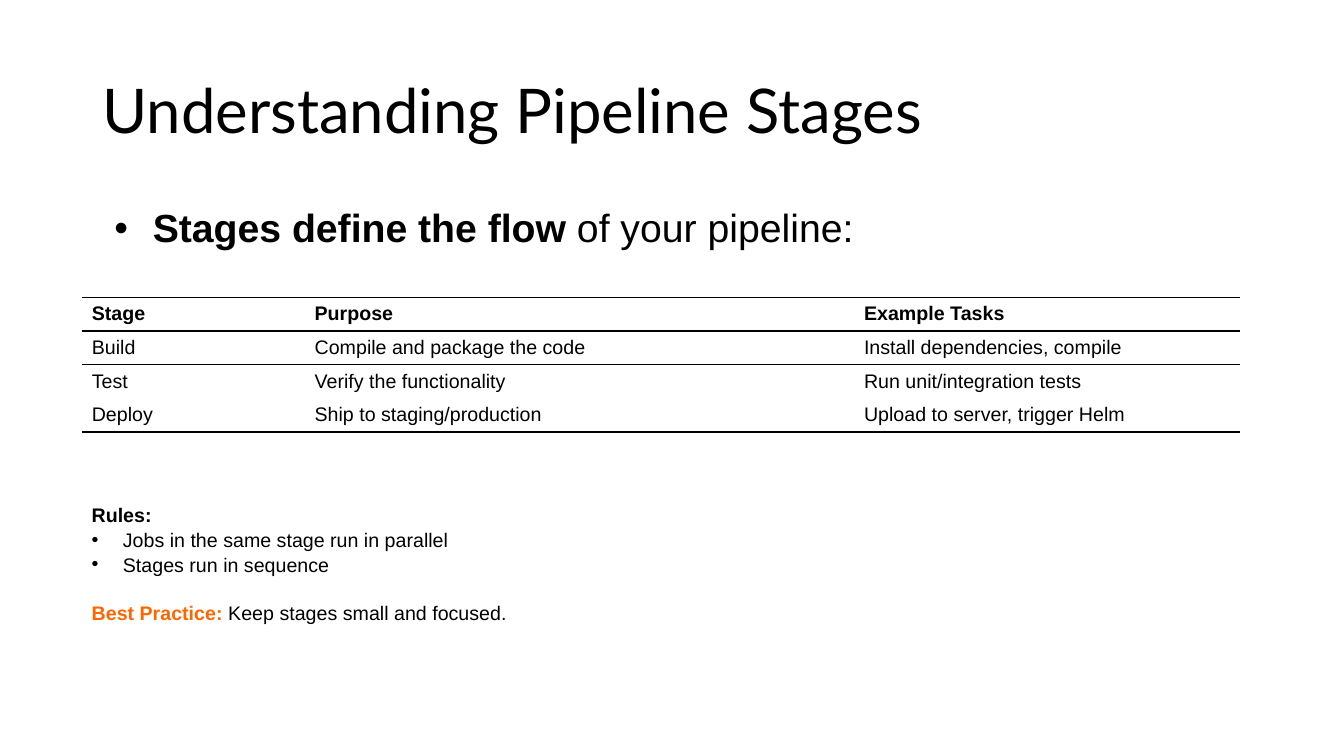
from dataclasses import dataclass

from lxml.etree import SubElement
from pptx import Presentation
from pptx.dml.color import RGBColor as Color
from pptx.enum.text import MSO_ANCHOR as Anchor
from pptx.oxml.ns import qn
from pptx.util import Inches, Pt


@dataclass(frozen=True)
class Theme:
    ink: str = "000000"
    accent: str = "FF6600"
    title_font: str = "Lato"
    body_font: str = "Arial"
    title_size: int = 44
    lead_size: int = 28
    text_size: int = 14
    rule_width: int = 1


THEME = Theme()
SLIDE_WIDTH, SLIDE_HEIGHT = Inches(13.33), Inches(7.5)

# Places and sizes are percentages of the slide's width or height.
HEADING_LEFT, CONTENT_LEFT, CONTENT_WIDTH = 6.88, 6.08, 86.25
COLUMN_WIDTHS = (16.58, 40.88, 28.73)
ROW_HEIGHT = 4.25

STAGES = (
    ("Stage", "Purpose", "Example Tasks"),
    ("Build", "Compile and package the code", "Install dependencies, compile"),
    ("Test", "Verify the functionality", "Run unit/integration tests"),
    ("Deploy", "Ship to staging/production", "Upload to server, trigger Helm"),
)
RULED_EDGES = (0, 1, 2, 4)
RULES = ("Jobs in the same stage run in parallel", "Stages run in sequence")


def across(percent):
    return round(SLIDE_WIDTH * percent / 100)


def down(percent):
    return round(SLIDE_HEIGHT * percent / 100)


def add_box(page, left, top, height, anchor=Anchor.TOP):
    box = page.shapes.add_textbox(across(left), down(top), across(CONTENT_WIDTH), down(height))
    frame = box.text_frame
    frame.word_wrap = True
    frame.vertical_anchor = anchor
    return frame


def add_run(para, text, size, bold=False, color=THEME.ink, font=THEME.body_font):
    span = para.add_run()
    span.text = text
    span.font.name = font
    span.font.size = Pt(size)
    span.font.bold = bold
    span.font.color.rgb = Color.from_string(color)


def add_bullet(para, margin, hanging):
    props = para._p.get_or_add_pPr()
    props.set("marL", str(Inches(margin)))
    props.set("indent", str(-Inches(hanging)))
    SubElement(props, qn("a:buFont"), typeface=THEME.body_font)
    SubElement(props, qn("a:buChar"), char="•")


def set_edge(cell, side, ruled):
    """Draw or clear one side (L, R, T or B) of a table cell."""
    width = str(Pt(THEME.rule_width))
    edge = SubElement(cell._tc.get_or_add_tcPr(), qn(f"a:ln{side}"), w=width)
    if ruled:
        fill = SubElement(edge, qn("a:solidFill"))
        SubElement(fill, qn("a:srgbClr"), val=THEME.ink)
    else:
        SubElement(edge, qn("a:noFill"))


def add_title(page):
    frame = add_box(page, HEADING_LEFT, 5.33, 19.33, Anchor.MIDDLE)
    para = frame.paragraphs[0]
    para.line_spacing = 0.9
    add_run(para, "Understanding Pipeline Stages", THEME.title_size, font=THEME.title_font)


def add_lead(page):
    para = add_box(page, HEADING_LEFT, 27, 10).paragraphs[0]
    add_bullet(para, 0.5, 0.38)
    para.line_spacing = 0.9
    add_run(para, "Stages define the flow", THEME.lead_size, bold=True)
    add_run(para, " of your pipeline:", THEME.lead_size)


def add_stage_table(page):
    row_count = len(STAGES)
    table = page.shapes.add_table(
        row_count, len(COLUMN_WIDTHS), across(CONTENT_LEFT), down(39.33),
        across(sum(COLUMN_WIDTHS)), down(ROW_HEIGHT * row_count),
    ).table
    table.first_row = table.horz_banding = False
    for column, width in zip(table.columns, COLUMN_WIDTHS):
        column.width = across(width)
    for row_index, texts in enumerate(STAGES):
        table.rows[row_index].height = down(ROW_HEIGHT)
        edges = {"L": False, "R": False,
                 "T": row_index in RULED_EDGES, "B": row_index + 1 in RULED_EDGES}
        for column_index, text in enumerate(texts):
            cell = table.cell(row_index, column_index)
            for side, ruled in edges.items():
                set_edge(cell, side, ruled)
            cell.fill.background()
            cell.vertical_anchor = Anchor.MIDDLE
            para = cell.text_frame.paragraphs[0]
            add_run(para, text, THEME.text_size, bold=row_index == 0)


def add_rules(page):
    frame = add_box(page, CONTENT_LEFT, 65.73, 21.6)
    add_run(frame.paragraphs[0], "Rules:", THEME.text_size, bold=True)
    for rule in RULES:
        para = frame.add_paragraph()
        add_bullet(para, 0.31, 0.31)
        add_run(para, rule, THEME.text_size)
    practice = frame.add_paragraph()
    practice.space_before = Pt(17)
    add_run(practice, "Best Practice: ", THEME.text_size, bold=True, color=THEME.accent)
    add_run(practice, "Keep stages small and focused.", THEME.text_size)
    for para in frame.paragraphs:
        para.line_spacing = 1.05


def main():
    deck = Presentation()
    deck.slide_width, deck.slide_height = SLIDE_WIDTH, SLIDE_HEIGHT
    page = deck.slides.add_slide(deck.slide_layouts[6])
    add_title(page)
    add_lead(page)
    add_stage_table(page)
    add_rules(page)
    deck.save("out.pptx")


if __name__ == "__main__":
    main()
